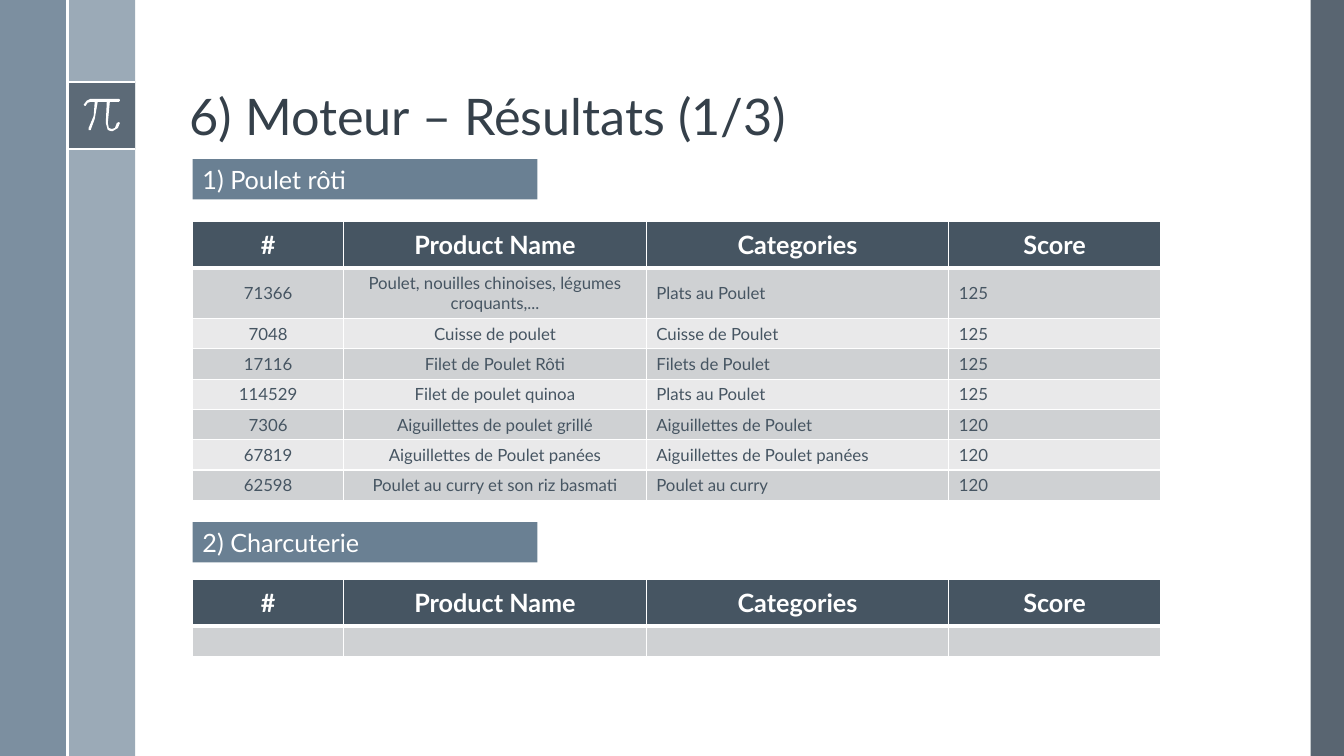
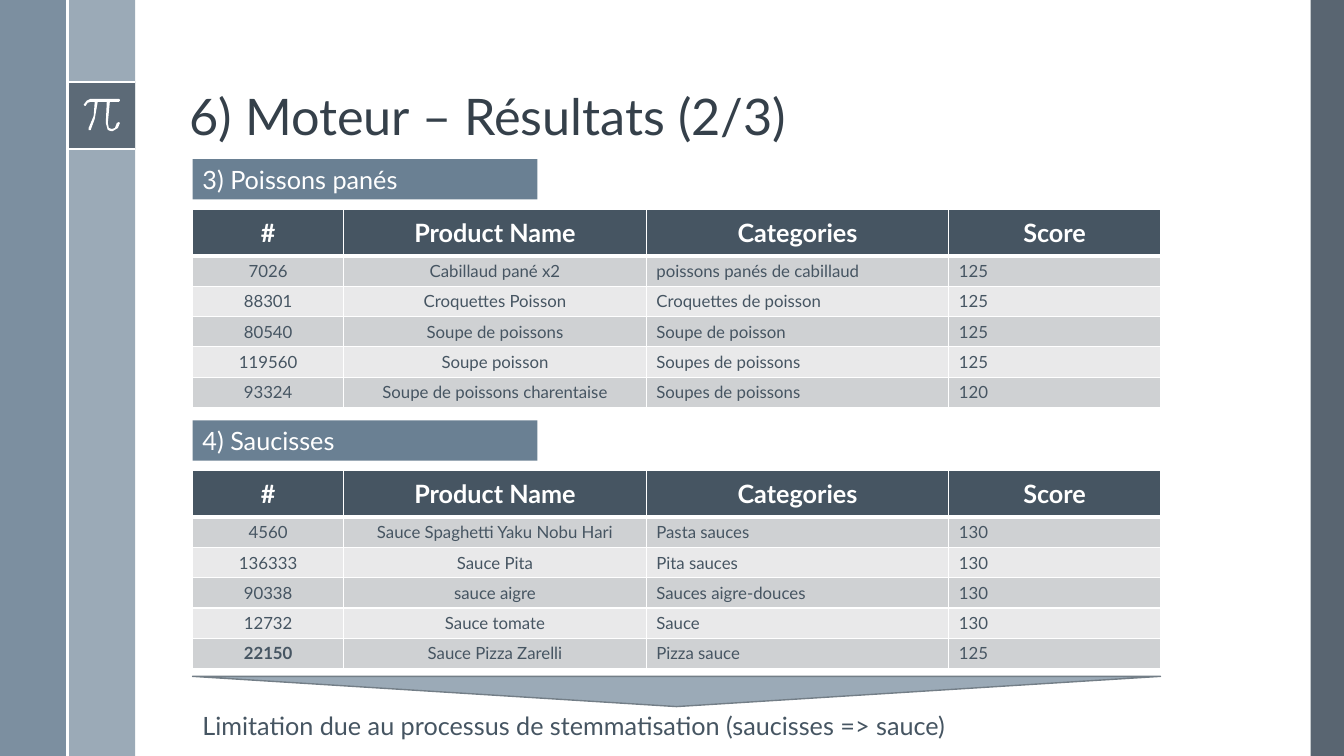
from pptx import Presentation
from pptx.dml.color import RGBColor
from pptx.enum import shapes, text
from pptx.oxml import xmlchemy as xc
from pptx.util import Inches, Pt

WHITE = RGBColor(0xFF, 0xFF, 0xFF)
DARK = RGBColor(0x47, 0x55, 0x62)
INK = RGBColor(0x46, 0x55, 0x62)
TITLE = RGBColor(0x35, 0x40, 0x4A)
STEEL = RGBColor(0x6A, 0x80, 0x93)
PALE = RGBColor(0x9B, 0xAA, 0xB7)
EDGE = RGBColor(0x73, 0x7E, 0x87)
BANDS = (RGBColor(0xCF, 0xD1, 0xD3), RGBColor(0xE9, 0xE9, 0xEA))

FONT = "Lato"
SLIDE_W, SLIDE_H = 13.33, 7.5
LEFT, WIDTH = 1.91, 9.6
LABEL_W, LABEL_H = 3.42, 0.4
HEADER_H, ROW_H = 0.46, 0.3
BAND_W = 0.67
HEADERS = ("#", "Product Name", "Categories", "Score")
COLUMNS = (1.5, 3, 3, 2.1)

PI_OUTLINE = [
    (51, 17), (23, 17), (19, 19), (16, 23), (17, 24), (18, 24), (20, 21),
    (23, 20), (27, 20), (25.5, 34), (21, 46), (21, 48), (23, 48), (27, 37),
    (30, 20), (39, 20), (38, 41), (40, 48), (43, 49), (45, 49), (50, 46),
    (52, 41), (51, 40), (49, 41), (47, 46), (44, 47), (41, 46), (40, 41),
    (42, 20), (51, 20), (52, 19), (52, 18),
]

ROAST_CHICKEN = [
    ("71366", "Poulet, nouilles chinoises, légumes croquants,...", "Plats au Poulet", "125"),
    ("7048", "Cuisse de poulet", "Cuisse de Poulet", "125"),
    ("17116", "Filet de Poulet Rôti", "Filets de Poulet", "125"),
    ("114529", "Filet de poulet quinoa", "Plats au Poulet", "125"),
    ("7306", "Aiguillettes de poulet grillé", "Aiguillettes de Poulet", "120"),
    ("67819", "Aiguillettes de Poulet panées", "Aiguillettes de Poulet panées", "120"),
    ("62598", "Poulet au curry et son riz basmati", "Poulet au curry", "120"),
]
COLD_CUTS = [("", "", "", "")]
BREADED_FISH = [
    ("7026", "Cabillaud pané x2", "poissons panés de cabillaud", "125"),
    ("88301", "Croquettes Poisson", "Croquettes de poisson", "125"),
    ("80540", "Soupe de poissons", "Soupe de poisson", "125"),
    ("119560", "Soupe poisson", "Soupes de poissons", "125"),
    ("93324", "Soupe de poissons charentaise", "Soupes de poissons", "120"),
]
SAUSAGES = [
    ("4560", "Sauce Spaghetti Yaku Nobu Hari", "Pasta sauces", "130"),
    ("136333", "Sauce Pita", "Pita sauces", "130"),
    ("90338", "sauce aigre", "Sauces aigre-douces", "130"),
    ("12732", "Sauce tomate", "Sauce", "130"),
    ("22150", "Sauce Pizza Zarelli", "Pizza sauce", "125"),
]


def style(p, size, color, bold=False, align=text.PP_ALIGN.LEFT):
    """Format a paragraph and its runs."""
    p.alignment = align
    for r in p.runs:
        r.font.name = FONT
        r.font.size = Pt(size)
        r.font.bold = bold
        r.font.color.rgb = color


def paint(sp, color, alpha=None):
    """Fill a shape without outline or shadow, with opacity in percent."""
    sp.shadow.inherit = False
    sp.fill.solid()
    sp.fill.fore_color.rgb = color
    sp.line.fill.background()
    if alpha:
        clr = sp.element.spPr.find(".//" + xc.qn("a:srgbClr"))
        xc.OxmlElement("a:alpha")
        node = xc.OxmlElement("a:alpha")
        node.set("val", str(alpha * 1000))
        clr.append(node)
    return sp


def add_rect(s, x, y, w, h, color, alpha=None):
    """Add a plain rectangle."""
    sp = s.shapes.add_shape(shapes.MSO_SHAPE.RECTANGLE,
                            Inches(x), Inches(y), Inches(w), Inches(h))
    return paint(sp, color, alpha)


def add_rule(s, x1, y1, x2, y2):
    """Add a thin white line."""
    line = s.shapes.add_connector(shapes.MSO_CONNECTOR.STRAIGHT, Inches(x1),
                                  Inches(y1), Inches(x2), Inches(y2))
    line.line.color.rgb = WHITE
    line.line.width = Pt(1.5)
    line.element.spPr.append(xc.OxmlElement("a:effectLst"))
    return line


def add_pi(s, x, y):
    """Draw the pi sign in the square whose corner is given."""
    builder = s.shapes.build_freeform(*PI_OUTLINE[0], scale=Inches(1) / 100)
    builder.add_line_segments(PI_OUTLINE[1:], close=True)
    return paint(builder.convert_to_shape(Inches(x), Inches(y)), WHITE)


def dress_layout(prs, layout):
    """Put the bands, the pi square and the title place on the layout."""
    title = layout.placeholders[0]
    title.left, title.top = Inches(1.78), Inches(0.14)
    title.width, title.height = Inches(10.7), Inches(1.36)
    title.text_frame.vertical_anchor = text.MSO_ANCHOR.BOTTOM
    s = prs.slides.add_slide(layout)
    top, right = 0.81, 2 * BAND_W
    decor = [
        add_rect(s, 13, 0, SLIDE_W - 13, SLIDE_H, DARK, 90),
        add_rect(s, BAND_W, 0, BAND_W, SLIDE_H, PALE),
        add_rect(s, 0, 0, BAND_W, SLIDE_H, STEEL, 88),
        add_rect(s, BAND_W, top, BAND_W, BAND_W, DARK, 75),
        add_rule(s, BAND_W, top, right, top),
        add_rule(s, BAND_W, top + BAND_W, right, top + BAND_W),
        add_pi(s, BAND_W, top),
        add_rule(s, BAND_W, 0, BAND_W, SLIDE_H),
    ]
    for sp in decor:
        layout.shapes.element.append(sp.element)
    return s


def add_title(s, title):
    """Fill the title placeholder."""
    tf = s.shapes.title.text_frame
    tf.text = title
    tf.paragraphs[0].line_spacing = 0.9
    style(tf.paragraphs[0], 36, TITLE)


def add_label(s, y, label):
    """Add the heading bar of a table."""
    sp = add_rect(s, LEFT, y, LABEL_W, LABEL_H, STEEL)
    tf = sp.text_frame
    tf.text = label
    tf.vertical_anchor = text.MSO_ANCHOR.TOP
    style(tf.paragraphs[0], 18, WHITE)


def set_borders(cell, top, bottom):
    """Give a cell white borders, with top and bottom widths in points."""
    tc_pr = cell._tc.get_or_add_tcPr()
    for tag, width in (("L", 1), ("R", 1), ("T", top), ("B", bottom)):
        ln = xc.OxmlElement("a:ln" + tag)
        ln.set("w", str(Pt(width)))
        fill = xc.OxmlElement("a:solidFill")
        clr = xc.OxmlElement("a:srgbClr")
        clr.set("val", str(WHITE))
        fill.append(clr)
        ln.append(fill)
        tc_pr.append(ln)


def fill_cell(cell, value, row, col, bold):
    """Write and format one table cell."""
    header = row == 0
    set_borders(cell, 3 if row == 1 else 1, 3 if header else 1)
    cell.fill.solid()
    cell.fill.fore_color.rgb = INK if header else BANDS[(row - 1) % 2]
    cell.vertical_anchor = text.MSO_ANCHOR.MIDDLE
    cell.text_frame.text = value
    p = cell.text_frame.paragraphs[0]
    centred = header or col < 2
    style(p, 18 if header else 12, WHITE if header else INK, header or bold,
          text.PP_ALIGN.CENTER if centred else text.PP_ALIGN.LEFT)
    if not value:
        p._p.get_or_add_endParaRPr().set("sz", "1200")


def add_results(s, y, rows, bold_id=None):
    """Add a result table under its header row."""
    height = HEADER_H + ROW_H * len(rows)
    table = s.shapes.add_table(len(rows) + 1, len(COLUMNS), Inches(LEFT),
                               Inches(y), Inches(WIDTH), Inches(height)).table
    for column, width in zip(table.columns, COLUMNS):
        column.width = Inches(width)
    for i, values in enumerate([HEADERS, *rows]):
        table.rows[i].height = Inches(ROW_H if i else HEADER_H)
        for j, value in enumerate(values):
            fill_cell(table.cell(i, j), value, i, j, value == bold_id)


def add_conclusion(s, y, message):
    """Add the flat downward triangle and the message below it."""
    sp = s.shapes.add_shape(shapes.MSO_SHAPE.ISOSCELES_TRIANGLE, Inches(LEFT),
                            Inches(y), Inches(WIDTH), Inches(0.3))
    paint(sp, PALE)
    sp.rotation = 180
    sp.line.color.rgb = EDGE
    sp.line.width = Pt(1)
    box = s.shapes.add_textbox(Inches(LEFT), Inches(y + 0.29),
                               Inches(WIDTH), Inches(LABEL_H))
    tf = box.text_frame
    tf.word_wrap = True
    tf.text = message
    style(tf.paragraphs[0], 18, INK)


def main():
    """Build and save the two result slides."""
    prs = Presentation()
    prs.slide_width, prs.slide_height = Inches(SLIDE_W), Inches(SLIDE_H)
    layout = prs.slide_layouts[5]

    s = dress_layout(prs, layout)
    add_title(s, "6) Moteur – Résultats (1/3)")
    add_label(s, 1.58, "1) Poulet rôti")
    add_results(s, 2.2, ROAST_CHICKEN)
    add_label(s, 5.18, "2) Charcuterie")
    add_results(s, 5.75, COLD_CUTS)

    s = prs.slides.add_slide(layout)
    add_title(s, "6) Moteur – Résultats (2/3)")
    add_label(s, 1.58, "3) Poissons panés")
    add_results(s, 2.08, BREADED_FISH)
    add_label(s, 4.17, "4) Saucisses")
    add_results(s, 4.67, SAUSAGES, bold_id="22150")
    add_conclusion(s, 6.71, "Limitation due au processus de stemmatisation (saucisses => sauce)")

    prs.save("out.pptx")


if __name__ == "__main__":
    main()
